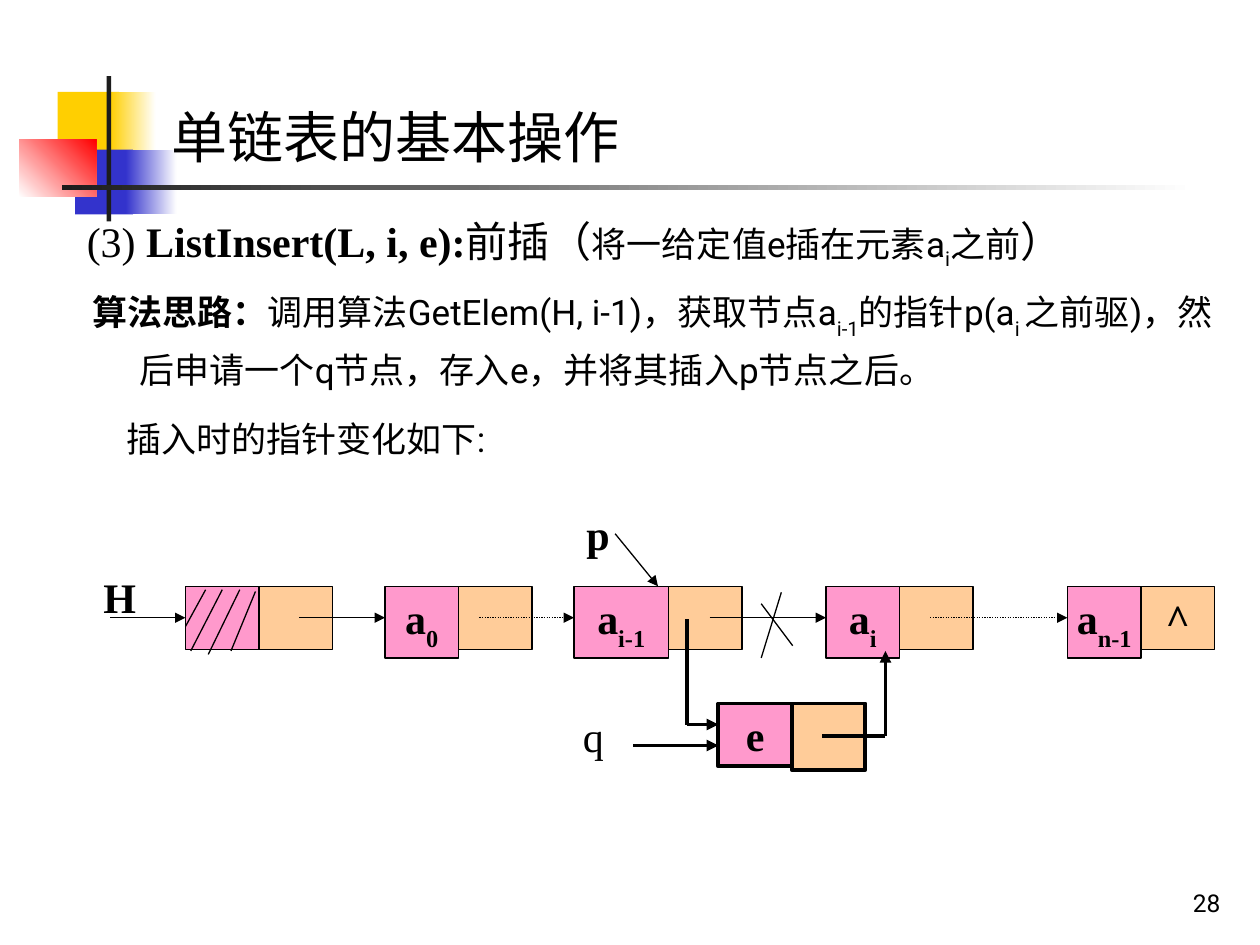
from dataclasses import dataclass

from lxml import etree
from pptx import Presentation
from pptx.dml.color import RGBColor
from pptx.enum.dml import MSO_LINE
from pptx.enum.shapes import MSO_CONNECTOR, MSO_SHAPE
from pptx.enum.text import MSO_ANCHOR, MSO_AUTO_SIZE, PP_ALIGN
from pptx.oxml.ns import qn
from pptx.util import Pt

RECTANGLE = MSO_SHAPE.RECTANGLE
STRAIGHT = MSO_CONNECTOR.STRAIGHT
DOTTED = MSO_LINE.ROUND_DOT
TOP, BOTTOM = MSO_ANCHOR.TOP, MSO_ANCHOR.BOTTOM
LEFT, CENTER, RIGHT = PP_ALIGN.LEFT, PP_ALIGN.CENTER, PP_ALIGN.RIGHT
LEFT_SIDE = 1


@dataclass(frozen=True)
class Theme:
    ink: RGBColor = RGBColor(0, 0, 0)
    white: RGBColor = RGBColor(255, 255, 255)
    yellow: RGBColor = RGBColor.from_string("FFCF01")
    blue: RGBColor = RGBColor.from_string("3333CC")
    red: RGBColor = RGBColor.from_string("FF0000")
    rule: RGBColor = RGBColor.from_string("1C1C1C")
    data: RGBColor = RGBColor.from_string("FF99CC")
    link: RGBColor = RGBColor.from_string("FFCC99")
    serif: str = "Times New Roman"
    sans: str = "Roboto"
    cjk: str = "Noto Sans CJK JP"
    title: int = 32
    label: int = 24
    body: int = 20
    page: int = 14
    thin: float = 0.75
    thick: float = 2.25


THEME = Theme()
LABEL = {"size": Pt(THEME.label), "name": THEME.serif, "bold": False}
BOLD_LABEL = {**LABEL, "bold": True}
BODY = {"size": Pt(THEME.body), "name": THEME.sans, "bold": False}
BOLD_BODY = {**BODY, "name": THEME.serif, "bold": True}
TITLE = {"size": Pt(THEME.title), "name": THEME.cjk, "bold": False}
PAGE = {**BODY, "size": Pt(THEME.page)}

CELL_WIDTH = 42


def apply(target, values):
    for name, value in values.items():
        setattr(target, name, value)


def place(shape, box):
    apply(shape, dict(zip(("left", "top", "width", "height"), map(Pt, box))))


def write(shape, runs, align=LEFT, anchor=TOP, side=7.2, hanging=0, spacing=1.0):
    """Fill a shape with one paragraph of (text, font values, baseline percent) runs."""
    frame = shape.text_frame
    apply(frame, {"word_wrap": True, "auto_size": MSO_AUTO_SIZE.NONE, "vertical_anchor": anchor,
                  "margin_left": Pt(side), "margin_right": Pt(side),
                  "margin_top": Pt(3.6), "margin_bottom": Pt(3.6)})
    paragraph = frame.paragraphs[0]
    properties = paragraph._p.get_or_add_pPr()
    properties.set("marL", str(Pt(hanging)))
    properties.set("indent", str(-Pt(hanging)))
    etree.SubElement(properties, qn("a:buNone"))
    apply(paragraph, {"alignment": align, "line_spacing": spacing, "space_before": Pt(0)})
    for text, values, baseline in runs:
        run = paragraph.add_run()
        run.text = text
        apply(run.font, values)
        run.font.color.rgb = THEME.ink
        run_properties = run._r.get_or_add_rPr()
        etree.SubElement(run_properties, qn("a:ea")).set("typeface", THEME.cjk)
        if baseline:
            run_properties.set("baseline", str(baseline * 1000))


def add_text(slide, box, runs, **layout):
    write(slide.shapes.add_textbox(*map(Pt, box)), runs, **layout)


def add_rectangle(slide, box, color):
    rectangle = slide.shapes.add_shape(RECTANGLE, *map(Pt, box))
    rectangle.shadow.inherit = False
    rectangle.fill.solid()
    rectangle.fill.fore_color.rgb = color
    rectangle.line.fill.background()
    return rectangle


def add_gradient(slide, box, start, end, angle=0):
    fill = add_rectangle(slide, box, start).fill
    fill.gradient()
    fill.gradient_angle = angle
    for stop, color in zip(fill.gradient_stops, (start, end)):
        stop.color.rgb = color


def add_line(slide, origin, start, end, width=THEME.thin, arrow=False, dash=None):
    """Draw a line between two points given relative to the origin."""
    x, y = origin
    connector = slide.shapes.add_connector(
        STRAIGHT, Pt(x + start[0]), Pt(y + start[1]), Pt(x + end[0]), Pt(y + end[1]))
    etree.SubElement(connector._element.spPr, qn("a:effectLst"))
    connector.line.color.rgb = THEME.ink
    apply(connector.line, {"width": Pt(width), "dash_style": dash})
    if arrow:
        etree.SubElement(connector.line._get_or_add_ln(), qn("a:tailEnd")).set("type", "triangle")
    return connector


def add_node(slide, box, heights, runs=(), link_runs=(), width=THEME.thin):
    """Draw a data cell filling the box's width and a link cell to its right; return the data cell."""
    left, top, data_width = box
    data_height, link_height = heights
    cells = (((left + data_width, top, CELL_WIDTH, link_height), THEME.link, link_runs),
             ((left, top, data_width, data_height), THEME.data, runs))
    for cell_box, color, cell_runs in cells:
        cell = add_rectangle(slide, cell_box, color)
        cell.line.color.rgb = THEME.ink
        cell.line.width = Pt(width)
        if cell_runs:
            write(cell, cell_runs, align=CENTER, side=1.5)
    return cell


def add_decoration(slide, box):
    x, y, width, _ = box
    add_rectangle(slide, (x + 22, y + 9, 35, 37), THEME.yellow)
    add_gradient(slide, (x + 52, y + 9, 26, 37), THEME.yellow, THEME.white)
    add_rectangle(slide, (x + 32, y + 42, 33, 37), THEME.blue)
    add_gradient(slide, (x + 61, y + 42, 29, 37), THEME.blue, THEME.white)
    add_gradient(slide, (x, y + 36, 44, 33), THEME.white, THEME.red, 45)
    add_rectangle(slide, (x + 50, y, 2.5, 83), THEME.rule)
    add_gradient(slide, (x + 24.5, y + 62.5, width - 24.5, 2.5), THEME.rule, THEME.white)


def add_title(slide, box):
    title = slide.shapes.title
    place(title, box)
    write(title, [("单链表的基本操作", TITLE, 0)])
    title.element.getparent().append(title.element)


def add_explanation(slide, box):
    x, y, width, _ = box
    add_text(slide, (x, y, 613, 39), [
        ("(3) ", LABEL, 0), ("ListInsert(L, i, e):", BOLD_LABEL, 0), ("前插（", LABEL, 0),
        ("将一给定值e插在元素a", BODY, 0), ("i", BODY, -25), ("之前", BODY, 0), ("）", LABEL, 0)])
    idea = slide.placeholders[1]
    place(idea, (x + 3, y + 37.5, width - 3, 67))
    write(idea, [
        ("算法思路：", BOLD_BODY, 0), ("调用算法GetElem(H, i-1)，获取节点a", BODY, 0),
        ("i-1", BODY, -30), ("的指针p(a", BODY, 0), ("i ", BODY, -30),
        ("之前驱)，然后申请一个q节点，存入e，并将其插入p节点之后。", BODY, 0)],
        hanging=27, spacing=1.2)
    add_text(slide, (x + 22.5, y + 115.5, width - 22.5, 37),
             [("插入时的指针变化如下:", BODY, 0)], hanging=27)


def add_list_diagram(slide, box):
    x, y, _, _ = origin_box = box
    origin = origin_box[:2]
    row, arrow_y, head_x = 48, 66, 54
    head = add_node(slide, (x + head_x, y + row, CELL_WIDTH), (36, 36))
    nodes = ((168, CELL_WIDTH, "0", ()), (276, 54, "i-1", ()), (420, CELL_WIDTH, "i", ()),
             (558, CELL_WIDTH, "n-1", [("^", BOLD_LABEL, 0)]))
    for left, width, index, link_runs in nodes:
        add_node(slide, (x + left, y + row, width), (41, 36),
                 [("a", BOLD_LABEL, 0), (index, BOLD_LABEL, -30)], link_runs)

    for pointer, left, top in (("H", 0, 36), ("p", 276, 0)):
        add_text(slide, (x + left, y + top, 48, 36), [(pointer, BOLD_LABEL, 0)])
    head_arrow = add_line(slide, origin, (11, arrow_y), (head_x, arrow_y), arrow=True)
    head_arrow.end_connect(head, LEFT_SIDE)
    add_line(slide, origin, (299.5, 18), (324, row), arrow=True)
    for start, end, dash in ((119, 168, None), (222, 276, DOTTED),
                             (353.5, 420, None), (479.5, 558, DOTTED)):
        add_line(slide, origin, (start, arrow_y), (end, arrow_y), arrow=True, dash=dash)

    head_origin = (x + head_x, y + row)
    for start, end in (((11.5, 2), (0, 23)), ((21, 2), (3, 37)),
                       ((31, 2), (13, 39)), ((40, 3), (26, 37))):
        add_line(slide, head_origin, start, end)
    for start, end in (((394.5, 51.5), (383, 89)), ((383, 58), (401, 82))):
        add_line(slide, origin, start, end)


def add_new_node(slide, box):
    x, y, width, _ = box
    add_node(slide, (x + 84.5, y + 48, CELL_WIDTH), (36, 38),
             [("e", BOLD_LABEL, 0)], width=THEME.thick)
    add_text(slide, (x, y + 48.5, 30, 36), [("q", LABEL, 0)])
    for start, end, arrow in (((36, 72), (84.5, 72), True),
                              ((66.5, 0), (66.5, 60), False), ((66.5, 60), (84.5, 60), True),
                              ((144, 66.5), (width, 66.5), False),
                              ((width, 66.5), (width, 18), True)):
        add_line(slide, (x, y), start, end, THEME.thick, arrow)


def main():
    prs = Presentation()
    prs.slide_width, prs.slide_height = Pt(720), Pt(540)
    slide = prs.slides.add_slide(prs.slide_layouts[1])
    add_decoration(slide, (11, 43.5, 672, 83))
    add_title(slide, (91, 55, 629, 46))
    add_explanation(slide, (42.5, 119.5, 658, 153))
    add_list_diagram(slide, (52, 287, 642, 90))
    add_new_node(slide, (326, 354, 180, 86))
    add_text(slide, (554.5, 492, 150, 36), [("28", PAGE, 0)], align=RIGHT, anchor=BOTTOM)
    prs.save("out.pptx")


if __name__ == "__main__":
    main()
